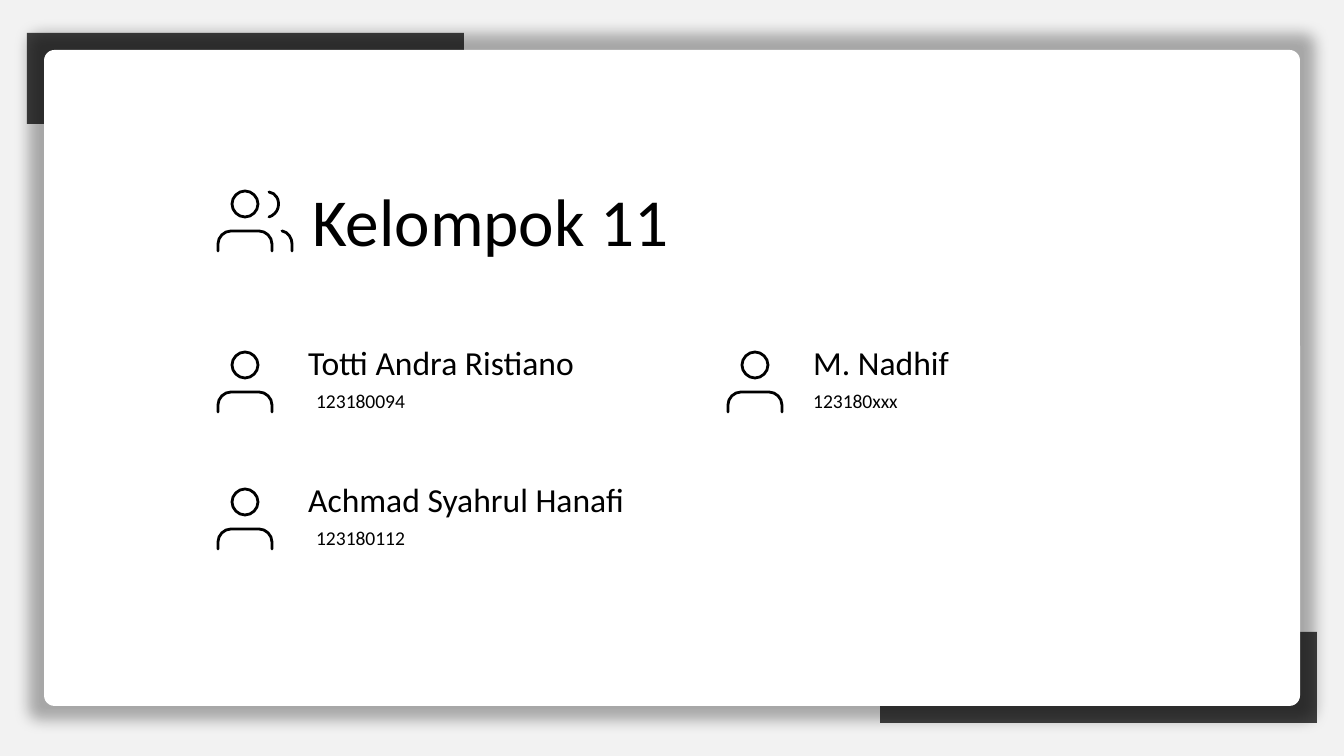
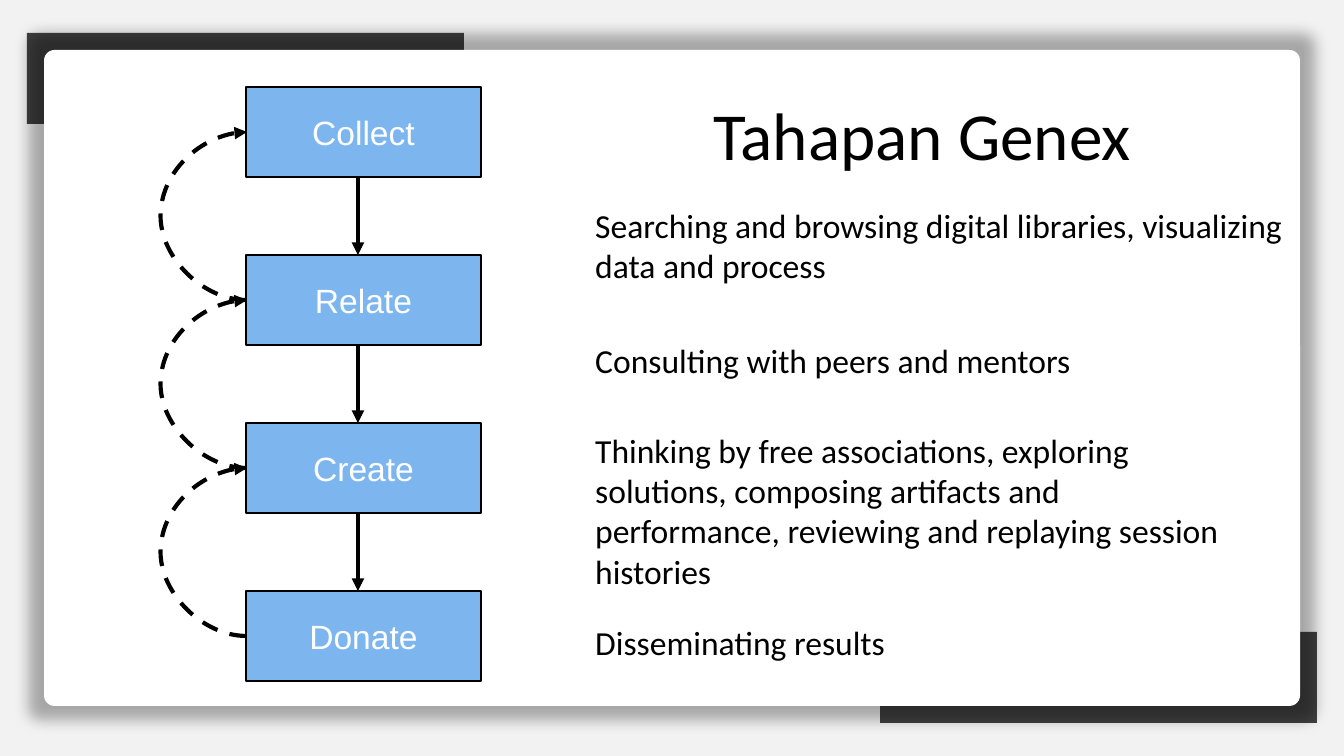
"""Build the group members slide and the Genex stages slide."""
from lxml.etree import SubElement
from pptx import Presentation
from pptx.dml.color import RGBColor
from pptx.enum.dml import MSO_LINE
from pptx.enum.shapes import MSO_CONNECTOR as Link, MSO_SHAPE as Preset
from pptx.enum.text import MSO_ANCHOR, MSO_AUTO_SIZE, PP_ALIGN
from pptx.oxml.ns import qn
from pptx.util import Pt

PX = 914400 / 134.4
WIDTH, HEIGHT = 1344, 756

PAPER = RGBColor(0xF2, 0xF2, 0xF2)
WHITE = RGBColor(0xFF, 0xFF, 0xFF)
BLACK = RGBColor(0, 0, 0)
CORNER = RGBColor(0x40, 0x40, 0x40)
STAGE_BLUE = RGBColor(0x7D, 0xB6, 0xEF)

GROUP_TITLE = "Kelompok 11"
MEMBERS = [
    ("Totti Andra Ristiano", "123180094", 0, 0),
    ("M. Nadhif", "123180xxx", 1, 0),
    ("Achmad Syahrul Hanafi", "123180112", 0, 1),
]
MEMBER_COLUMNS = [
    {"icon": 245, "name": 295, "number": 303, "width": 409},
    {"icon": 755, "name": 800, "number": 800, "width": 516},
]
MEMBER_TOP, MEMBER_PITCH = 335, 137

PERSON = [
    ((-38, 15, 77, 43), [
        ("moveTo", (27, 47)), ("lnTo", (27, 40)),
        ("cubicBezTo", (27, 33), (21, 27), (14, 27)), ("lnTo", (-14, 27)),
        ("cubicBezTo", (-21, 27), (-27, 33), (-27, 40)), ("lnTo", (-27, 47))]),
    ((-25, -25, 50, 50), [
        ("moveTo", (13, 0)),
        ("cubicBezTo", (13, 7), (7, 13), (0, 13)),
        ("cubicBezTo", (-7, 13), (-13, 7), (-13, 0)),
        ("cubicBezTo", (-13, -7), (-7, -13), (0, -13)),
        ("cubicBezTo", (7, -13), (13, -7), (13, 0)), ("close",)]),
]
COMPANION = [
    ((25, 16, 34, 40), [
        ("moveTo", (47, 47)), ("lnTo", (47, 40)),
        ("cubicBezTo", (47, 34), (43, 28), (37, 27))]),
    ((12, -25, 34, 46), [
        ("moveTo", (24, -12)),
        ("cubicBezTo", (31, -11), (35, -4), (33, 4)),
        ("cubicBezTo", (32, 8), (28, 12), (24, 13))]),
]

STAGES_TITLE = "Tahapan Genex"
STAGES = [
    ("Collect", "Searching and browsing digital libraries, visualizing data and process",
     (582, 198, 762, 95)),
    ("Relate", "Consulting with peers and mentors", (582, 333, 762, 54)),
    ("Create", "Thinking by free associations, exploring solutions, composing artifacts "
     "and performance, reviewing and replaying session histories", (582, 423, 683, 136)),
    ("Donate", "Disseminating results", (582, 615, 762, 54)),
]
STAGE_LEFT, STAGE_TOP, STAGE_WIDTH, STAGE_HEIGHT, STAGE_PITCH = 246, 87, 235, 90, 168
ARROW_X = 358
RETURN_BULGE = 85


def px(*lengths):
    return [round(length * PX) for length in lengths]


def add_block(shapes, preset, box, fill, line=None):
    block = shapes.add_shape(preset, *px(*box))
    block.shadow.inherit = False
    block.fill.solid()
    block.fill.fore_color.rgb = fill
    if line is None:
        block.line.fill.background()
    else:
        block.line.color.rgb = line
        block.line.width = Pt(0.75)
    return block


def write(frame, words, size, font, color, align):
    paragraph = frame.paragraphs[0]
    paragraph.alignment = align
    run = paragraph.add_run()
    run.text = words
    run.font.size = Pt(size)
    run.font.name = font
    run.font.color.rgb = color


def add_text(slide, words, box, size, align=PP_ALIGN.JUSTIFY):
    frame = slide.shapes.add_textbox(*px(*box)).text_frame
    frame.word_wrap = True
    frame.auto_size = MSO_AUTO_SIZE.SHAPE_TO_FIT_TEXT
    write(frame, words, size, "Calibri", BLACK, align)


def add_glow(card):
    effects = card._element.spPr.find(qn("a:effectLst"))
    shadow = SubElement(effects, qn("a:outerShdw"), blurRad="101600", sx="102400",
                        sy="104600", algn="ctr", rotWithShape="0")
    black = SubElement(shadow, qn("a:prstClr"), val="black")
    SubElement(black, qn("a:alpha"), val="31000")


def add_framed_slide(deck):
    slide = deck.slides.add_slide(deck.slide_layouts[6])
    slide.background.fill.solid()
    slide.background.fill.fore_color.rgb = PAPER
    for left, top in ((880, 632), (27, 33)):
        add_block(slide.shapes, Preset.RECTANGLE, (left, top, 437, 91), CORNER)
    card = add_block(slide.shapes, Preset.ROUNDED_RECTANGLE, (44, 50, 1256, 656), WHITE)
    card.adjustments[0] = 0.016
    add_glow(card)
    return slide


def add_stroke(shapes, x, y, box, moves):
    left, top, width, height = box
    near, far = px(x + left, y + top), px(x + left + width, y + top + height)
    builder = shapes.build_freeform(*near, scale=1.0)
    builder.add_line_segments([far], close=False)
    stroke = builder.convert_to_shape()
    stroke.shadow.inherit = False
    stroke.fill.background()
    stroke.line.color.rgb = BLACK
    stroke.line.width = Pt(1.5)
    properties = stroke._element.spPr
    properties.find(qn("a:ln")).set("cap", "rnd")
    outline = next(properties.iter(qn("a:path")))
    for step in list(outline):
        outline.remove(step)
    for move, *points in moves:
        step = SubElement(outline, qn(f"a:{move}"))
        for across, down in points:
            local_x, local_y = px(across - left, down - top)
            SubElement(step, qn("a:pt"), x=str(local_x), y=str(local_y))


def add_icon(slide, x, y, strokes):
    icon = slide.shapes.add_group_shape().shapes
    for box, moves in strokes:
        add_stroke(icon, x, y, box, moves)


def add_arrow(slide, kind, start, end):
    arrow = slide.shapes.add_connector(kind, *px(*start, *end))
    arrow.line.color.rgb = BLACK
    arrow.line.width = Pt(2.25)
    properties = arrow._element.spPr
    SubElement(properties, qn("a:effectLst"))
    return arrow, properties


def add_arrowhead(properties):
    SubElement(properties.find(qn("a:ln")), qn("a:tailEnd"), type="triangle")


def add_step(slide, start, end):
    add_arrowhead(add_arrow(slide, Link.STRAIGHT, start, end)[1])


def add_return(slide, start, end):
    arrow, properties = add_arrow(slide, Link.CURVE, start, end)
    arrow.line.dash_style = MSO_LINE.DASH
    add_arrowhead(properties)
    guides = properties.find(qn("a:prstGeom")).find(qn("a:avLst"))
    SubElement(guides, qn("a:gd"), name="adj1", fmla=f"val {-RETURN_BULGE * 100000}")


def build_members(deck):
    slide = add_framed_slide(deck)
    add_text(slide, GROUP_TITLE, (299, 173, 492, 95), 36)
    add_icon(slide, MEMBER_COLUMNS[0]["icon"], 204, PERSON + COMPANION)
    for name, number, column, row in MEMBERS:
        place = MEMBER_COLUMNS[column]
        top = MEMBER_TOP + row * MEMBER_PITCH
        add_text(slide, name, (place["name"], top, place["width"], 54), 18)
        add_text(slide, number, (place["number"], top + 47, 160, 38), 10.5)
        add_icon(slide, place["icon"], top + 30, PERSON)


def build_stages(deck):
    slide = add_framed_slide(deck)
    add_text(slide, STAGES_TITLE, (700, 87, 472, 95), 36)
    tops = [STAGE_TOP + i * STAGE_PITCH for i in range(len(STAGES))]
    for (stage, activity, box), top in zip(STAGES, tops):
        block = add_block(slide.shapes, Preset.RECTANGLE,
                          (STAGE_LEFT, top, STAGE_WIDTH, STAGE_HEIGHT),
                          STAGE_BLUE, BLACK)
        block.text_frame.word_wrap = False
        block.text_frame.vertical_anchor = MSO_ANCHOR.MIDDLE
        write(block.text_frame, stage, 18, "Arial", WHITE, PP_ALIGN.CENTER)
        add_text(slide, activity, box, 18, PP_ALIGN.LEFT)
    middle = STAGE_HEIGHT // 2
    for top, below in zip(tops, tops[1:]):
        add_step(slide, (ARROW_X, top + STAGE_HEIGHT), (ARROW_X, below))
        add_return(slide, (STAGE_LEFT, below + middle), (STAGE_LEFT + 1, top + middle))


def main():
    deck = Presentation()
    deck.slide_width, deck.slide_height = px(WIDTH, HEIGHT)
    build_members(deck)
    build_stages(deck)
    deck.save("out.pptx")


if __name__ == "__main__":
    main()
